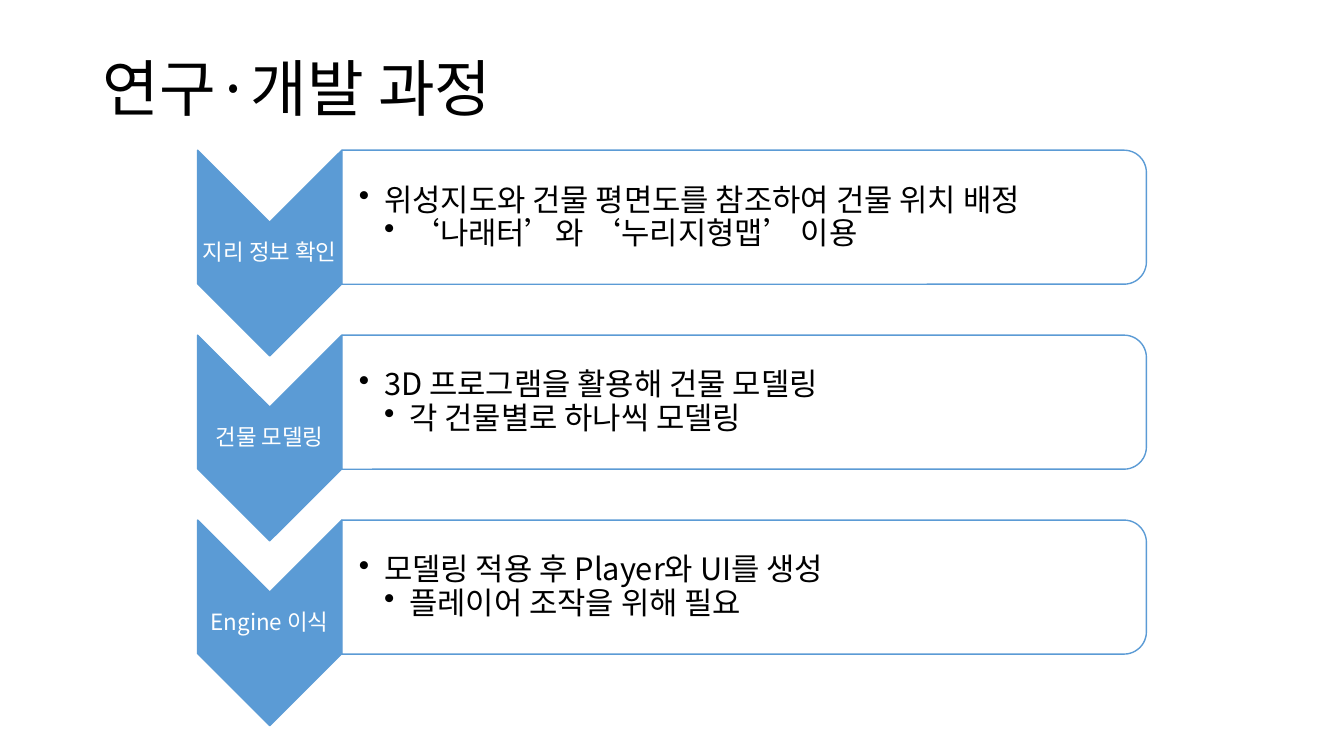
from lxml import etree
from pptx import Presentation
from pptx.dml.color import RGBColor
from pptx.enum.shapes import MSO_SHAPE
from pptx.enum.text import MSO_ANCHOR, MSO_AUTO_SIZE, PP_ALIGN
from pptx.oxml.ns import qn
from pptx.util import Inches, Pt

CHEVRON = MSO_SHAPE.CHEVRON
PANEL = MSO_SHAPE.ROUND_2_SAME_RECTANGLE
MIDDLE = MSO_ANCHOR.MIDDLE
NO_FIT = MSO_AUTO_SIZE.NONE
LEFT, CENTER = PP_ALIGN.LEFT, PP_ALIGN.CENTER

COLORS = {"accent": "5B9BD5", "paper": "FFFFFF", "ink": "000000"}
FONT = "Noto Sans CJK KR"
TITLE_ONLY = 5
STEP_LEFT, STEP_TOP, STEP_PITCH = 1.96, 1.49, 1.835
CHEVRON_WIDTH, CHEVRON_HEIGHT = 1.43, 2.04
PANEL_WIDTH, PANEL_HEIGHT = 7.98, 1.33
INDENT = 0.25

STEPS = [
    ("지리 정보 확인",
     ["위성지도와 건물 평면도를 참조하여 건물 위치 배정",
      "‘나래터’와 ‘누리지형맵’ 이용"]),
    ("건물 모델링",
     ["3D 프로그램을 활용해 건물 모델링", "각 건물별로 하나씩 모델링"]),
    ("Engine 이식",
     ["모델링 적용 후 Player와 UI를 생성", "플레이어 조작을 위해 필요"]),
]


def color(name):
    return RGBColor.from_string(COLORS[name])


def format_frame(frame, insets):
    sides = ("margin_left", "margin_top", "margin_right", "margin_bottom")
    settings = {side: Inches(inset) for side, inset in zip(sides, insets)}
    settings.update(word_wrap=True, auto_size=NO_FIT, vertical_anchor=MIDDLE)
    for name, value in settings.items():
        setattr(frame, name, value)


def write(paragraph, text, size, ink, align=LEFT):
    paragraph.alignment = align
    paragraph.line_spacing = 0.9
    run = paragraph.add_run()
    run.text = text
    for name, value in {"name": FONT, "size": Pt(size)}.items():
        setattr(run.font, name, value)
    run.font.color.rgb = color(ink)
    east_asian = etree.SubElement(run.font._element, qn("a:ea"))
    east_asian.set("typeface", FONT)


def add_bullet(paragraph, level):
    paragraph.level = level
    properties = paragraph._p.get_or_add_pPr()
    properties.set("marL", str(Inches(INDENT * (level + 1))))
    properties.set("indent", str(Inches(-INDENT)))
    etree.SubElement(properties, qn("a:buChar")).set("char", "•")


def add_turned_shape(slide, kind, left, top, width, height, fill):
    shape = slide.shapes.add_shape(
        kind, Inches(left + (width - height) / 2),
        Inches(top + (height - width) / 2), Inches(height), Inches(width))
    shape.rotation = 90
    shape.shadow.inherit = False
    shape.fill.solid()
    shape.fill.fore_color.rgb = color(fill)
    shape.line.color.rgb = color("accent")
    shape.line.width = Pt(1)
    return shape


def add_text(slide, left, top, width, height, insets):
    frame = slide.shapes.add_textbox(
        Inches(left), Inches(top), Inches(width), Inches(height)).text_frame
    format_frame(frame, insets)
    return frame


def add_stage(slide, left, top, width, height, label):
    add_turned_shape(slide, CHEVRON, left, top, width, height, "accent")
    notch = width / 2
    frame = add_text(slide, left, top + notch, width, height - 2 * notch,
                     [0.01] * 4)
    write(frame.paragraphs[0], label, 16, "paper", CENTER)


def add_details(slide, left, top, width, height, lines):
    panel = add_turned_shape(slide, PANEL, left, top, width, height, "paper")
    shade = panel.fill._xPr.find(qn("a:solidFill"))[0]
    etree.SubElement(shade, qn("a:alpha")).set("val", "90000")
    frame = add_text(slide, left, top + 0.07, width - 0.07, height - 0.13,
                     [0.17, 0.02, 0.02, 0.02])
    for level, line in enumerate(lines):
        paragraph = frame.add_paragraph() if level else frame.paragraphs[0]
        add_bullet(paragraph, level)
        write(paragraph, line, 22, "ink")


def add_title(slide, left, top, width, height, text):
    title = slide.shapes.title
    box = {"left": left, "top": top, "width": width, "height": height}
    for name, value in box.items():
        setattr(title, name, Inches(value))
    format_frame(title.text_frame, [0.1, 0.05, 0.1, 0.05])
    write(title.text_frame.paragraphs[0], text, 44, "ink")


def main():
    deck = Presentation()
    deck.slide_width, deck.slide_height = Inches(13.33), Inches(7.5)
    slide = deck.slides.add_slide(deck.slide_layouts[TITLE_ONLY])
    add_title(slide, 0.92, 0.18, 11.5, 1.45, "연구·개발 과정")
    for index, (label, lines) in enumerate(STEPS):
        top = STEP_TOP + index * STEP_PITCH
        add_stage(slide, STEP_LEFT, top, CHEVRON_WIDTH, CHEVRON_HEIGHT, label)
        add_details(slide, STEP_LEFT + CHEVRON_WIDTH, top,
                    PANEL_WIDTH, PANEL_HEIGHT, lines)
    deck.save("out.pptx")


if __name__ == "__main__":
    main()
